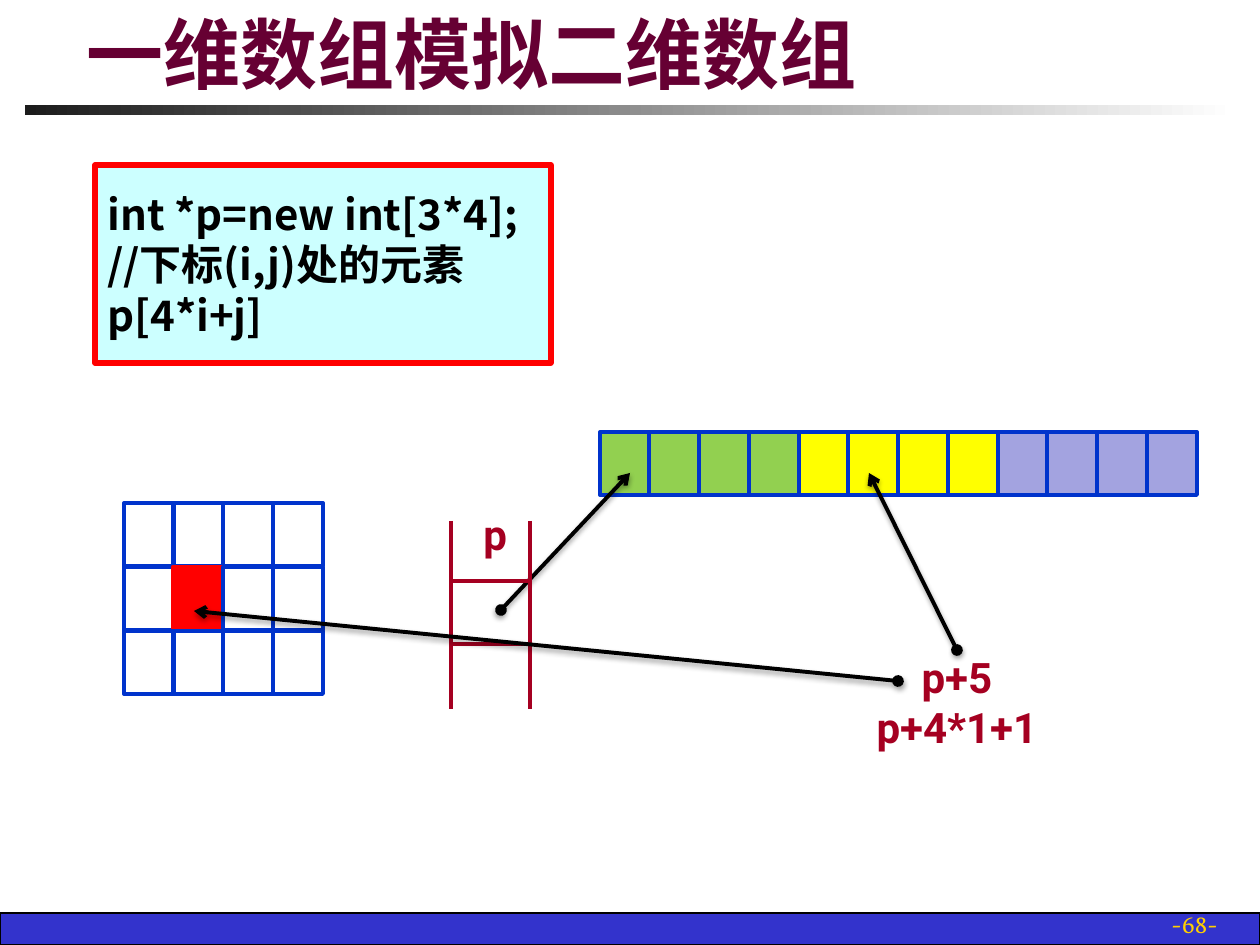
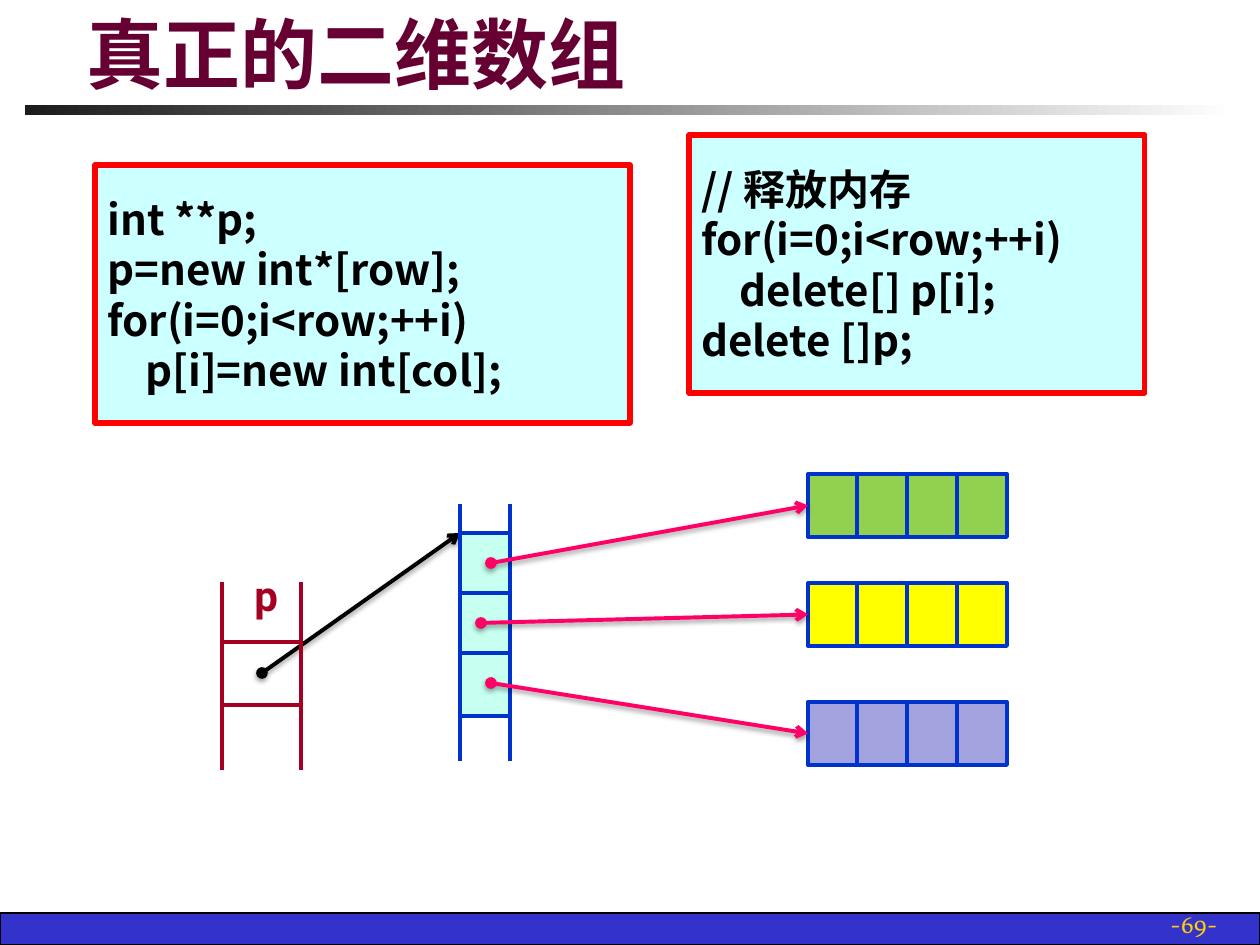
from lxml import etree
from pptx import Presentation
from pptx.dml.color import RGBColor
from pptx.enum.shapes import MSO_CONNECTOR as CONN, MSO_SHAPE as SHAPE
from pptx.enum.text import MSO_ANCHOR as ANCHOR, PP_ALIGN as ALIGN
from pptx.oxml.ns import qn
from pptx.util import Emu, Pt

COLORS = {
    "title": "660033", "band": "3333CC", "number": "FFCF01",
    "black": "000000", "white": "FFFFFF", "rule": "1C1C1C",
    "code": "CCFFFF", "red": "FF0000", "blue": "0033CC",
    "maroon": "A50021", "pink": "FF0066", "pointer": "C7FFF0",
    "green": "92D050", "yellow": "FFFF00", "violet": "A3A3E0",
}
TITLE_FONT, CODE_FONT = "Comic Neue", "Noto Sans CJK SC"
LABEL_FONT, NUMBER_FONT = "Roboto", "Vollkorn"
SLIDE_W, SLIDE_H = 1260, 945
CELL_H = 63
ROW_W = 199       # four cells side by side
INDENT = 38


def px(n):
    return Emu(round(n * 914400 / 126))


def rgb(name):
    return RGBColor.from_string(COLORS[name])


def add_rect(sl, box, fill=None, line=None, width=2.25):
    sp = sl.shapes.add_shape(SHAPE.RECTANGLE, *map(px, box))
    sp.shadow.inherit = False
    if fill:
        sp.fill.solid()
        sp.fill.fore_color.rgb = rgb(fill)
    else:
        sp.fill.background()
    if line:
        sp.line.color.rgb = rgb(line)
        sp.line.width = Pt(width)
    else:
        sp.line.fill.background()
    return sp


def write(sp, lines, font, size, color, bold=True, align=ALIGN.LEFT,
          anchor=ANCHOR.TOP, wrap=True):
    """Fill a shape with paragraphs; a leading tab marks an indented one."""
    tf = sp.text_frame
    tf.word_wrap = wrap
    tf.vertical_anchor = anchor
    for i, line in enumerate(lines):
        p = tf.paragraphs[0] if i == 0 else tf.add_paragraph()
        p.alignment = align
        if line.startswith("\t"):
            p._p.get_or_add_pPr().set("marL", str(px(INDENT)))
        r = p.add_run()
        r.text = line.lstrip("\t")
        r.font.name, r.font.size, r.font.bold = font, Pt(size), bold
        r.font.color.rgb = rgb(color)
        ea = etree.SubElement(r._r.get_or_add_rPr(), qn("a:ea"))
        ea.set("typeface", CODE_FONT)


def add_text(sl, box, lines, *style, **options):
    write(sl.shapes.add_textbox(*map(px, box)), lines, *style, **options)


def add_line(sl, start, end, color):
    ln = sl.shapes.add_connector(CONN.STRAIGHT, *map(px, start + end))
    ln.line.color.rgb = rgb(color)
    ln.line.width = Pt(2.25)
    etree.SubElement(ln._element.spPr, qn("a:effectLst"))
    return ln


def add_arrow(sl, start, end, color="black", target=None):
    """Draw a shadowed arrow with a round tail, joined to target's left side."""
    ln = add_line(sl, start, end, color)
    if target is not None:
        ln.end_connect(target, 1)
    for tag, kind in (("a:headEnd", "oval"), ("a:tailEnd", "arrow")):
        etree.SubElement(ln.line._get_or_add_ln(), qn(tag)).set("type", kind)
    effects = ln._element.spPr.find(qn("a:effectLst"))
    shadow = etree.SubElement(effects, qn("a:outerShdw"), blurRad=str(Pt(3.1)),
                              dist=str(Pt(1.6)), dir="5400000", rotWithShape="0")
    black = etree.SubElement(shadow, qn("a:srgbClr"), val=COLORS["black"])
    etree.SubElement(black, qn("a:alpha"), val="38000")


def add_frame(prs, title, number):
    """Start a slide with its title, rule, footer band and page number."""
    sl = prs.slides.add_slide(prs.slide_layouts[6])
    add_rect(sl, (0, 913, SLIDE_W, 32), "band", "black", 0.75)
    rule = add_rect(sl, (25, 105, 1211, 10))
    rule.fill.gradient()
    rule.fill.gradient_angle = 0
    for stop, color in zip(rule.fill.gradient_stops, ("rule", "white")):
        stop.color.rgb = rgb(color)
    add_text(sl, (968, 903, 262, 42), [f"-{number}-"], NUMBER_FONT, 14, "number",
             bold=False, align=ALIGN.RIGHT, anchor=ANCHOR.BOTTOM)
    add_text(sl, (74, 16, 1142, 89), [title], TITLE_FONT, 44, "title",
             anchor=ANCHOR.BOTTOM)
    return sl


def add_code(sl, box, lines):
    sp = add_rect(sl, box, "code", "red", 3)
    write(sp, lines, CODE_FONT, 24, "black", anchor=ANCHOR.MIDDLE, wrap=False)


def add_cells(sl, x, y, w, fills):
    """Draw one row of touching cells across w and return them."""
    n = len(fills)
    return [add_rect(sl, (x + i * w // n, y, 50, CELL_H), fill,
                     "red" if fill == "red" else "blue")
            for i, fill in enumerate(fills)]


def add_rails(sl, x, y, w, h, color):
    for rail_x in (x, x + w):
        add_line(sl, (rail_x, y), (rail_x, y + h), color)


def add_variable_p(sl, x, y):
    """Draw the memory strip of the variable p, its top left at x, y."""
    add_rect(sl, (x, y + 60, 79, CELL_H), line="maroon")
    add_rails(sl, x, y, 79, 188, "maroon")
    add_text(sl, (x + 20, y - 19, 39, CELL_H), ["p"], LABEL_FONT, 24, "maroon")


def build_simulated(prs):
    sl = add_frame(prs, "一维数组模拟二维数组", 68)
    add_code(sl, (95, 165, 456, 198),
             ["int *p=new int[3*4];", "//下标(i,j)处的元素", "p[4*i+j]"])
    for row in range(3):
        fills = [None] * 4
        if row == 1:
            fills[1] = "red"
        add_cells(sl, 124, 503 + row * 64, ROW_W, fills)
    add_cells(sl, 600, 432, 3 * ROW_W,
              ["green"] * 4 + ["yellow"] * 4 + ["violet"] * 4)
    add_arrow(sl, (501, 610), (630, 473))
    add_variable_p(sl, 451, 521)
    add_arrow(sl, (957, 650), (869, 473))
    add_text(sl, (838, 645, 238, 115), ["p+5", "p+4*1+1"], LABEL_FONT, 24,
             "maroon", align=ALIGN.CENTER)
    add_arrow(sl, (898, 681), (194, 611))


def build_real(prs):
    sl = add_frame(prs, "真正的二维数组", 69)
    add_code(sl, (95, 165, 535, 258),
             ["int **p;", "p=new int*[row];", "for(i=0;i<row;++i)",
              "\tp[i]=new int[col];"])
    add_code(sl, (689, 135, 456, 258),
             ["// 释放内存", "for(i=0;i<row;++i)", "\tdelete[] p[i];",
              "delete []p;"])
    add_arrow(sl, (262, 673), (460, 533))
    add_variable_p(sl, 222, 582)
    for i in range(3):
        add_cells(sl, 460, 533 + i * 60, 50, ["pointer"])
    add_rails(sl, 460, 504, 50, 257, "blue")
    rows = (("green", 474, 491), ("yellow", 583, 481), ("violet", 702, 491))
    for i, (color, y, dot_x) in enumerate(rows):
        first = add_cells(sl, 808, y, ROW_W, [color] * 4)[0]
        add_arrow(sl, (dot_x, 563 + i * 60), (808, y + CELL_H // 2), "pink", first)


def main():
    prs = Presentation()
    prs.slide_width, prs.slide_height = px(SLIDE_W), px(SLIDE_H)
    build_simulated(prs)
    build_real(prs)
    prs.save("out.pptx")


if __name__ == "__main__":
    main()
